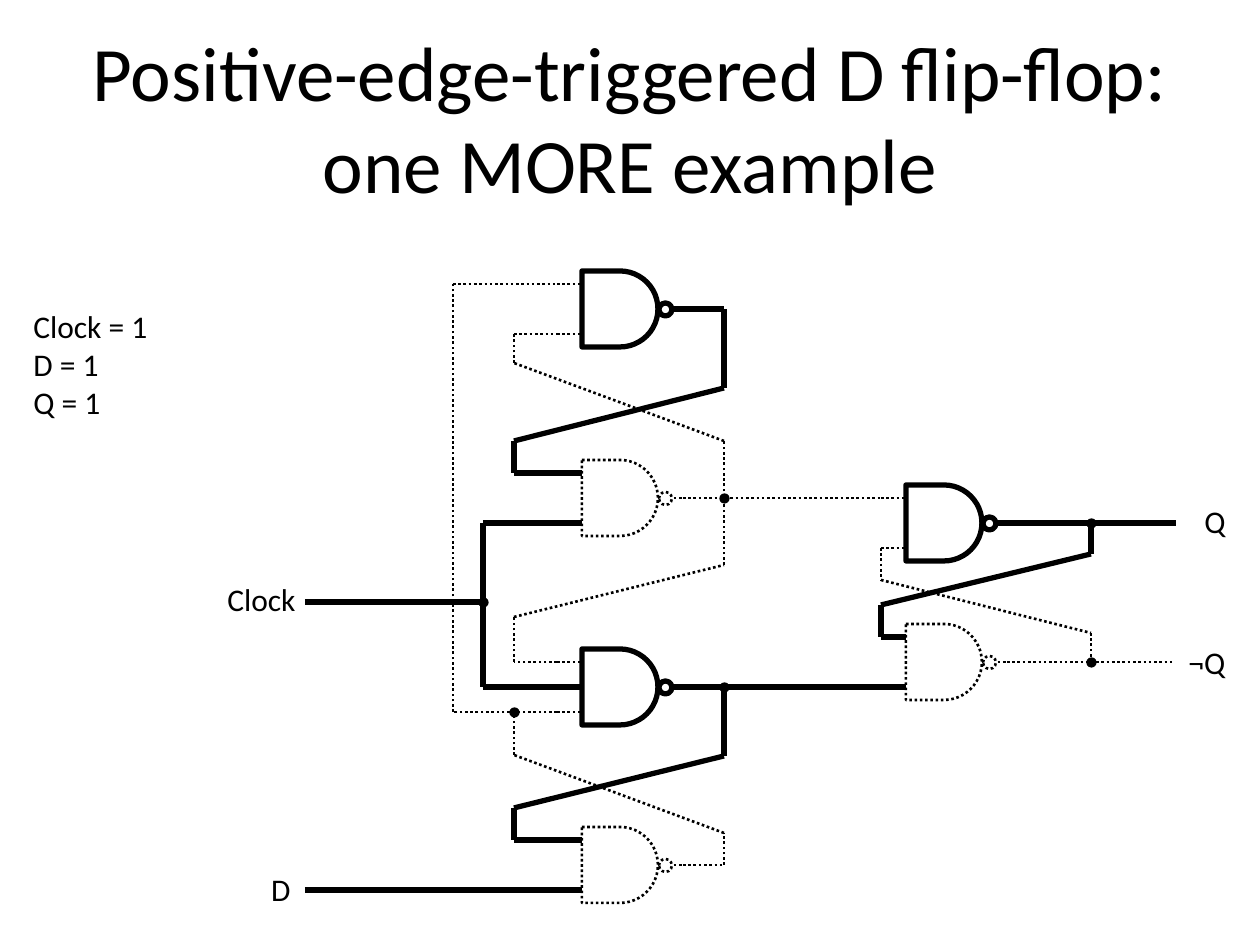
from dataclasses import dataclass
from itertools import pairwise

from lxml import etree
from pptx import Presentation
from pptx import util as u
from pptx.dml.color import RGBColor
from pptx.enum import dml, shapes, text
from pptx.oxml import ns

PX = 914400 // 126


@dataclass(frozen=True)
class Theme:
    ink = RGBColor(0, 0, 0)
    paper = RGBColor(255, 255, 255)
    font = "Calibri"
    title_size = u.Pt(44)
    label_size = u.Pt(18)
    dot_line = u.Pt(0.75)


theme = Theme()

# Signal levels: a high wire is solid and heavy, a low wire is dotted
HIGH = {"width": u.Pt(3)}
LOW = {"width": u.Pt(1.5), "dash_style": dml.MSO_LINE.ROUND_DOT}
DOT = {"width": theme.dot_line}
SHAPE = shapes.MSO_SHAPE


def add_outline(parent, kind, box, fill, level):
    part = parent.add_shape(kind, *(v * PX for v in box))
    part.shadow.inherit = False
    if fill is None:
        part.fill.background()
    else:
        part.fill.solid()
        part.fill.fore_color.rgb = fill
    part.line.color.rgb = theme.ink
    for name, value in level.items():
        setattr(part.line, name, value)


def add_wire(parent, level, points):
    for start, end in pairwise(points):
        wire = parent.add_connector(
            shapes.MSO_CONNECTOR.STRAIGHT, *(v * PX for v in start + end))
        etree.SubElement(wire._element.spPr, ns.qn("a:effectLst"))
        wire.line.color.rgb = theme.ink
        for name, value in level.items():
            setattr(wire.line, name, value)


deck = Presentation()
deck.slide_width, deck.slide_height = 1260 * PX, 945 * PX
slide = deck.slides.add_slide(deck.slide_layouts[5])
canvas = slide.shapes

# Title
title = canvas.title
title.left, title.top, title.width, title.height = (
    v * PX for v in (63, 38, 1134, 157))
title.text_frame.text = "Positive-edge-triggered D flip-flop: one MORE example"
title.text_frame.vertical_anchor = text.MSO_ANCHOR.MIDDLE
heading = title.text_frame.paragraphs[0]
heading.alignment = text.PP_ALIGN.CENTER
heading_format = {"size": theme.title_size, "name": theme.font}
for name, value in heading_format.items():
    setattr(heading.font, name, value)
heading.font.color.rgb = theme.ink

# NAND gates: left edge, centre line, output level, input levels by offset
BODY, STUB, BUBBLE, PORT = 76, 25, 13, 25
LEFT, RIGHT = 582, 906
gates = [
    (LEFT, 687, HIGH, {-PORT: LOW, 0: HIGH, PORT: LOW}),
    (LEFT, 865, LOW, {-PORT: HIGH, PORT: HIGH}),
    (LEFT, 498, LOW, {-PORT: HIGH, PORT: HIGH}),
    (LEFT, 309, HIGH, {-PORT: LOW, PORT: LOW}),
    (RIGHT, 662, LOW, {-PORT: HIGH, PORT: HIGH}),
    (RIGHT, 523, HIGH, {-PORT: LOW, PORT: LOW}),
]
for x, y, output, inputs in gates:
    gate = canvas.add_group_shape().shapes
    add_outline(gate, SHAPE.FLOWCHART_DELAY,
                (x, y - BODY // 2, BODY, BODY), None, output)
    add_wire(gate, output, [(x + BODY, y), (x + BODY + STUB, y)])
    for offset, level in inputs.items():
        add_wire(gate, level, [(x - STUB, y + offset), (x, y + offset)])
    add_outline(gate, SHAPE.OVAL,
                (x + BODY + 1, y - BUBBLE // 2, BUBBLE, BUBBLE),
                theme.paper, output)

# Wires between the gates, from the columns where they turn
IN, OUT = LEFT - STUB, LEFT + BODY + STUB
IN_R, OUT_R = RIGHT - STUB, RIGHT + BODY + STUB
RESET, CLOCK, CROSS, JOIN, FEEDBACK = 453, 483, 514, 724, 1091
wires = [
    (HIGH, [(305, 890), (IN, 890)]),
    (HIGH, [(IN, 840), (CROSS, 840), (CROSS, 808), (JOIN, 756), (JOIN, 687)]),
    (HIGH, [(OUT, 687), (IN_R, 687)]),
    (LOW, [(OUT, 865), (JOIN, 865), (JOIN, 833), (CROSS, 755), (CROSS, 712)]),
    (LOW, [(IN, 712), (RESET, 712), (RESET, 284), (IN, 284)]),
    (HIGH, [(IN, 687), (CLOCK, 687), (CLOCK, 523), (IN, 523)]),
    (HIGH, [(305, 602), (CLOCK, 602)]),
    (HIGH, [(IN, 473), (CROSS, 473), (CROSS, 441), (JOIN, 388),
            (JOIN, 309), (OUT, 309)]),
    (LOW, [(IN, 662), (CROSS, 662), (CROSS, 617), (JOIN, 565), (JOIN, 441),
           (CROSS, 363), (CROSS, 334), (IN, 334)]),
    (LOW, [(OUT, 498), (IN_R, 498)]),
    (HIGH, [(IN_R, 637), (IN_R, 605), (FEEDBACK, 554), (FEEDBACK, 523)]),
    (HIGH, [(OUT_R, 523), (1096, 523), (1176, 523)]),
    (LOW, [(IN_R, 548), (IN_R, 580), (FEEDBACK, 633), (FEEDBACK, 662)]),
    (LOW, [(OUT_R, 662), (FEEDBACK, 662), (1172, 662)]),
]
for level, points in wires:
    add_wire(canvas, level, points)

# Junction dots
DOT_SIZE = 9
junctions = [(CLOCK, 602), (CROSS, 712), (JOIN, 687), (JOIN, 498),
             (FEEDBACK, 523), (FEEDBACK, 662)]
for x, y in junctions:
    corner = (x - DOT_SIZE // 2, y - DOT_SIZE // 2)
    add_outline(canvas, SHAPE.OVAL, (*corner, DOT_SIZE, DOT_SIZE),
                theme.ink, DOT)

# Signal names and the state list
MIDDLE, TOP = text.MSO_ANCHOR.MIDDLE, text.MSO_ANCHOR.TOP
TO_RIGHT, TO_LEFT = text.PP_ALIGN.RIGHT, text.PP_ALIGN.LEFT
labels = [
    (["D"], (248, 857, 55, 63), MIDDLE, TO_RIGHT),
    (["Clock"], (147, 567, 161, 63), MIDDLE, TO_RIGHT),
    (["Q"], (1183, 489, 55, 63), MIDDLE, TO_RIGHT),
    (["¬Q"], (1176, 630, 63, 63), MIDDLE, TO_LEFT),
    (["Clock = 1", "D = 1", "Q = 1"], (21, 301, 329, 159), TOP, TO_LEFT),
]
label_format = {"size": theme.label_size, "name": theme.font}
for lines, box, anchor, alignment in labels:
    frame = canvas.add_textbox(*(v * PX for v in box)).text_frame
    frame.word_wrap = True
    frame.vertical_anchor = anchor
    frame.text = "\n".join(lines)
    for line in frame.paragraphs:
        line.alignment = alignment
        for name, value in label_format.items():
            setattr(line.font, name, value)
        line.font.color.rgb = theme.ink

deck.save("out.pptx")
